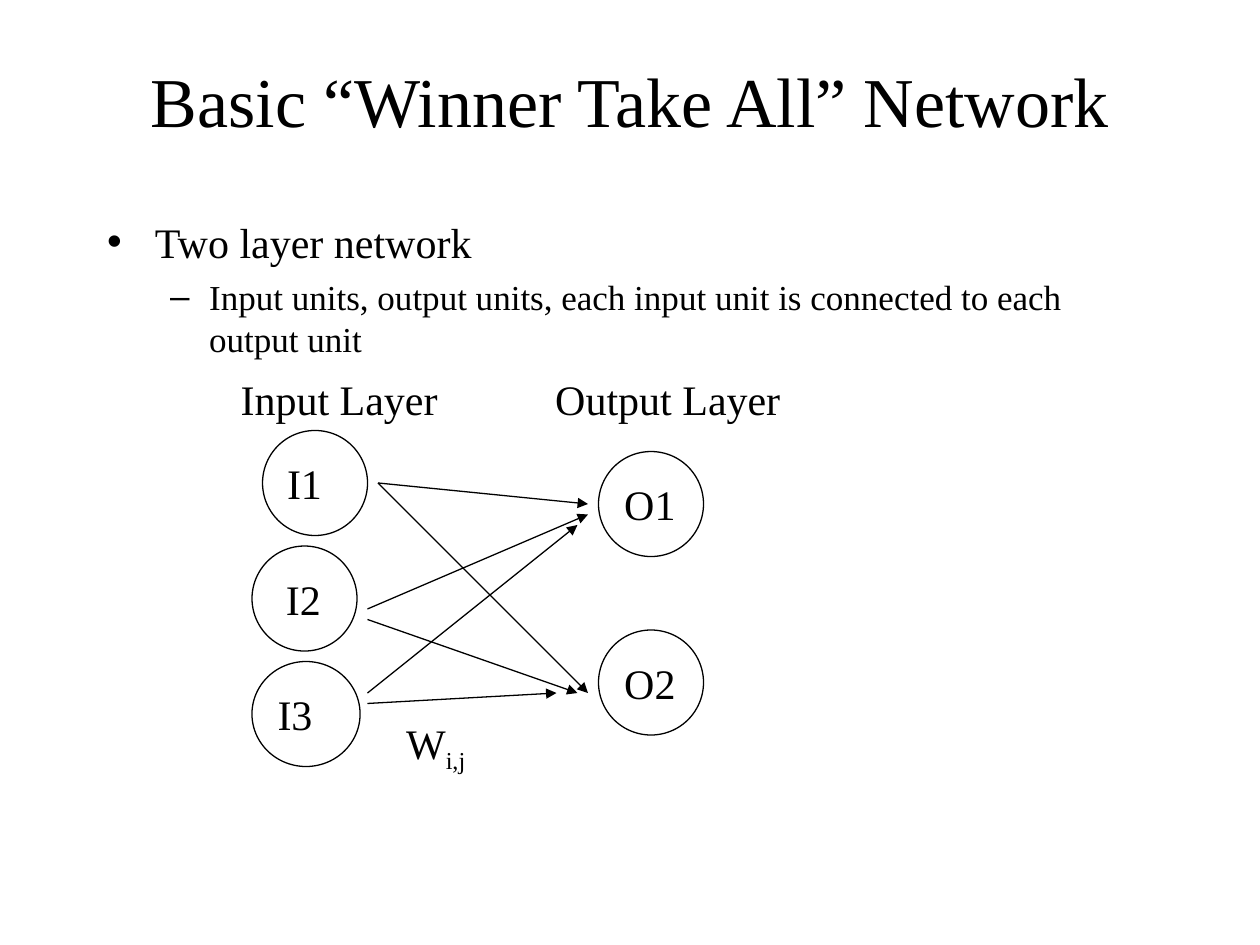
from dataclasses import dataclass

from lxml import etree
from pptx import Presentation
from pptx import util as u
from pptx.dml.color import RGBColor
from pptx.enum import shapes, text
from pptx.oxml import ns


@dataclass(frozen=True)
class Theme:
    font: str = "Times New Roman"
    ink: RGBColor = RGBColor(0, 0, 0)
    paper: RGBColor = RGBColor(255, 255, 255)
    title_size: int = 40
    body_size: int = 24
    detail_size: int = 20
    line_width: float = 0.75


COLUMNS, ROWS = 120, 90
NODE_SIZE = 10
LABEL_HEIGHT = 6


class Board:
    """Draws on one slide, with lengths in columns and rows of the grid."""

    def __init__(self, deck, theme):
        self.theme = theme
        self.slide = deck.slides.add_slide(deck.slide_layouts[1])
        self.column = deck.slide_width / COLUMNS
        self.row = deck.slide_height / ROWS

    def x(self, columns):
        return u.Emu(round(columns * self.column))

    def y(self, rows):
        return u.Emu(round(rows * self.row))

    def box(self, left, top, width, height):
        return self.x(left), self.y(top), self.x(width), self.y(height)

    def style(self, paragraph, size, align):
        paragraph.alignment = align
        for run in paragraph.runs:
            run.font.name = self.theme.font
            run.font.size = u.Pt(size)
            run.font.color.rgb = self.theme.ink

    def fill_placeholder(self, holder, area, lines, anchor):
        holder.left, holder.top, holder.width, holder.height = self.box(*area)
        frame = holder.text_frame
        frame.text = "\n".join(lines)
        frame.auto_size = text.MSO_AUTO_SIZE.NONE
        frame.vertical_anchor = anchor
        return frame.paragraphs

    def title(self, wording, area):
        heading, = self.fill_placeholder(
            self.slide.shapes.title, area, [wording], text.MSO_ANCHOR.MIDDLE)
        self.style(heading, self.theme.title_size, text.PP_ALIGN.CENTER)

    def bullets(self, items, area):
        """Items are (wording, level, size, bullet, margin, hanging, space before)."""
        paragraphs = self.fill_placeholder(
            self.slide.placeholders[1], area, [item[0] for item in items],
            text.MSO_ANCHOR.TOP)
        for paragraph, item in zip(paragraphs, items):
            _, level, size, bullet, margin, hanging, before = item
            paragraph.level = level
            paragraph.space_before = u.Pt(before)
            properties = paragraph._p.get_or_add_pPr()
            properties.set("marL", str(u.Inches(margin)))
            properties.set("indent", str(-u.Inches(hanging)))
            etree.SubElement(properties, ns.qn("a:buChar"), char=bullet)
            self.style(paragraph, size, text.PP_ALIGN.LEFT)

    def label(self, wording, center, top, width, height=LABEL_HEIGHT, subscript=""):
        caption = self.slide.shapes.add_textbox(
            *self.box(center - width / 2, top, width, height))
        frame = caption.text_frame
        frame.word_wrap = False
        frame.auto_size = text.MSO_AUTO_SIZE.SHAPE_TO_FIT_TEXT
        frame.vertical_anchor = text.MSO_ANCHOR.MIDDLE
        frame.text = wording
        paragraph = frame.paragraphs[0]
        if subscript:
            paragraph.add_run().text = subscript
        self.style(paragraph, self.theme.body_size, text.PP_ALIGN.CENTER)
        if subscript:
            paragraph.runs[-1].font._element.set("baseline", "-25000")

    def node(self, name, left, top, label_center, label_width, width=NODE_SIZE):
        circle = self.slide.shapes.add_shape(
            shapes.MSO_SHAPE.OVAL, *self.box(left, top, width, NODE_SIZE))
        circle.shadow.inherit = False
        circle.fill.solid()
        circle.fill.fore_color.rgb = self.theme.paper
        self.outline(circle.line)
        self.label(name, label_center, top + (NODE_SIZE - LABEL_HEIGHT) / 2, label_width)

    def outline(self, line):
        line.color.rgb = self.theme.ink
        line.width = u.Pt(self.theme.line_width)

    def arrow(self, start, end):
        link = self.slide.shapes.add_connector(
            shapes.MSO_CONNECTOR.STRAIGHT, self.x(start[0]), self.y(start[1]),
            self.x(end[0]), self.y(end[1]))
        self.outline(link.line)
        etree.SubElement(link.line._get_or_add_ln(), ns.qn("a:tailEnd"), type="triangle")
        etree.SubElement(link._element.spPr, ns.qn("a:effectLst"))


def main():
    deck = Presentation()
    deck.slide_width, deck.slide_height = u.Inches(10), u.Inches(7.5)
    theme = Theme()
    board = Board(deck, theme)

    board.title("Basic “Winner Take All” Network", (9, 2, 102, 15))
    board.bullets([
        ("Two layer network", 0, theme.body_size, "•", 0.38, 0.38, 0),
        ("Input units, output units, each input unit is connected to each output unit",
         1, theme.detail_size, "–", 0.81, 0.31, 5),
    ], (9, 20, 102, 54))

    board.label("Input Layer", 32.3, 35, 21.6)
    board.label("Output Layer", 63.6, 35, 24.2)

    input_label, output_label = 5.8, 7.4
    board.node("I1", 25, 41, 29, input_label)
    board.node("I2", 24, 52, 28.9, input_label)
    board.node("I3", 24, 63, 28.1, input_label, width=10.3)
    for name, top in (("O1", 43), ("O2", 60)):
        board.node(name, 57, top, 61.9, output_label)

    for start, end in (
        ((36, 46), (56, 48)), ((36, 46), (56, 66)),  # from I1
        ((35, 58), (56, 49)), ((35, 59), (55, 66)),  # from I2
        ((35, 66), (55, 50)), ((35, 67), (53, 66)),  # from I3
    ):
        board.arrow(start, end)
    board.label("W", 41.5, 67.7, 9, height=6.7, subscript="i,j")

    deck.save("out.pptx")


if __name__ == "__main__":
    main()
